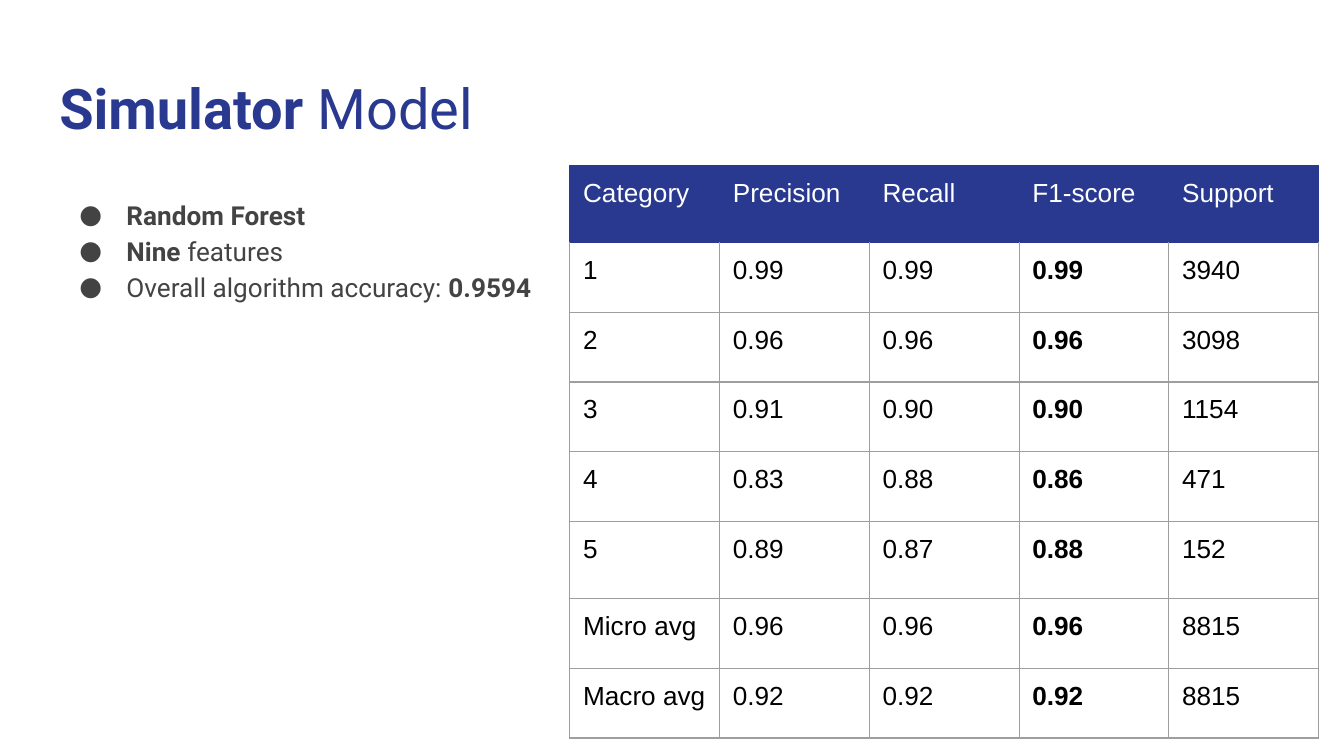
from lxml.etree import SubElement
from pptx import Presentation
from pptx.dml.color import RGBColor
from pptx.enum.text import MSO_ANCHOR as Anchor, MSO_AUTO_SIZE as AutoSize, PP_ALIGN as Align
from pptx.oxml.ns import qn
from pptx.util import Cm, Pt

COLORS = {"navy": "2A3990", "gray": "434343", "rule": "9E9E9E", "white": "FFFFFF", "black": "000000"}
INSET = Cm(0.25)
COLUMN_WIDTH = 2.83
ROW_HEIGHTS = [1.45, 1.32, 1.32, 1.32, 1.32, 1.45, 1.32, 1.32]
SCORES = [
    ["Category", "Precision", "Recall", "F1-score", "Support"],
    ["1", "0.99", "0.99", "0.99", "3940"],
    ["2", "0.96", "0.96", "0.96", "3098"],
    ["3", "0.91", "0.90", "0.90", "1154"],
    ["4", "0.83", "0.88", "0.86", "471"],
    ["5", "0.89", "0.87", "0.88", "152"],
    ["Micro avg", "0.96", "0.96", "0.96", "8815"],
    ["Macro avg", "0.92", "0.92", "0.92", "8815"],
]
F1_COLUMN = SCORES[0].index("F1-score")
BULLETS = [
    [("Random Forest", True)],
    [("Nine ", True), ("features", False)],
    [("Overall algorithm accuracy: ", False), ("0.9594", True)],
]


def add_span(para, text, *, size=14, font="Roboto", color="gray", bold=False):
    span = para.add_run()
    span.text = text
    span.font.size = Pt(size)
    span.font.name = font
    span.font.bold = bold
    span.font.color.rgb = RGBColor.from_string(COLORS[color])


def set_margins(target):
    target.margin_left = target.margin_right = INSET
    target.margin_top = target.margin_bottom = INSET
    target.vertical_anchor = Anchor.TOP


def set_frame(frame):
    set_margins(frame)
    frame.word_wrap = True
    frame.auto_size = AutoSize.NONE


def add_title(page):
    title = page.shapes.title
    title.left, title.top, title.width, title.height = Cm(0.87), Cm(1.14), Cm(23.67), Cm(1.68)
    set_frame(title.text_frame)
    para = title.text_frame.paragraphs[0]
    para.alignment = Align.LEFT
    add_span(para, "Simulator ", size=30, color="navy", bold=True)
    add_span(para, "Model", size=30, color="navy")


def set_bullet(para):
    properties = para._p.get_or_add_pPr()
    properties.set("marL", str(Cm(1.27)))
    properties.set("indent", str(-Cm(0.89)))
    bullet_color = SubElement(properties, qn("a:buClr"))
    SubElement(bullet_color, qn("a:srgbClr"), val=COLORS["gray"])
    SubElement(properties, qn("a:buFont"), typeface="Roboto")
    SubElement(properties, qn("a:buChar"), char="●")


def add_bullets(page):
    box = page.shapes.add_textbox(Cm(0.87), Cm(3.43), Cm(9.5), Cm(9.27))
    frame = box.text_frame
    set_frame(frame)
    for index, spans in enumerate(BULLETS):
        para = frame.add_paragraph() if index else frame.paragraphs[0]
        set_bullet(para)
        para.line_spacing = 1.15
        for text, bold in spans:
            add_span(para, text, bold=bold)


def set_borders(cell, color, top_color):
    properties = cell._tc.get_or_add_tcPr()
    for side in ("L", "R", "T", "B"):
        line = SubElement(properties, qn(f"a:ln{side}"), w=str(Pt(0.75)))
        fill = SubElement(line, qn("a:solidFill"))
        SubElement(fill, qn("a:srgbClr"), val=COLORS[top_color if side == "T" else color])


def format_cell(cell, text, row, column):
    is_header = row == 0
    set_margins(cell)
    set_borders(cell, "navy" if is_header else "rule", "navy" if row < 2 else "rule")
    if is_header:
        cell.fill.solid()
        cell.fill.fore_color.rgb = RGBColor.from_string(COLORS["navy"])
    else:
        cell.fill.background()
    add_span(cell.text_frame.paragraphs[0], text, font="Arial",
             color="white" if is_header else "black",
             bold=column == F1_COLUMN and not is_header)


def add_score_table(page):
    columns = len(SCORES[0])
    table = page.shapes.add_table(len(SCORES), columns, Cm(10.77), Cm(3.13),
                                  Cm(COLUMN_WIDTH * columns), Cm(sum(ROW_HEIGHTS))).table
    table.first_row = True
    table.horz_banding = False
    for column in table.columns:
        column.width = Cm(COLUMN_WIDTH)
    for row, height in enumerate(ROW_HEIGHTS):
        table.rows[row].height = Cm(height)
        for column, text in enumerate(SCORES[row]):
            format_cell(table.cell(row, column), text, row, column)


def main():
    deck = Presentation()
    deck.slide_width, deck.slide_height = Cm(25.4), Cm(14.29)
    page = deck.slides.add_slide(deck.slide_layouts[5])
    add_title(page)
    add_bullets(page)
    add_score_table(page)
    deck.save("out.pptx")


if __name__ == "__main__":
    main()
